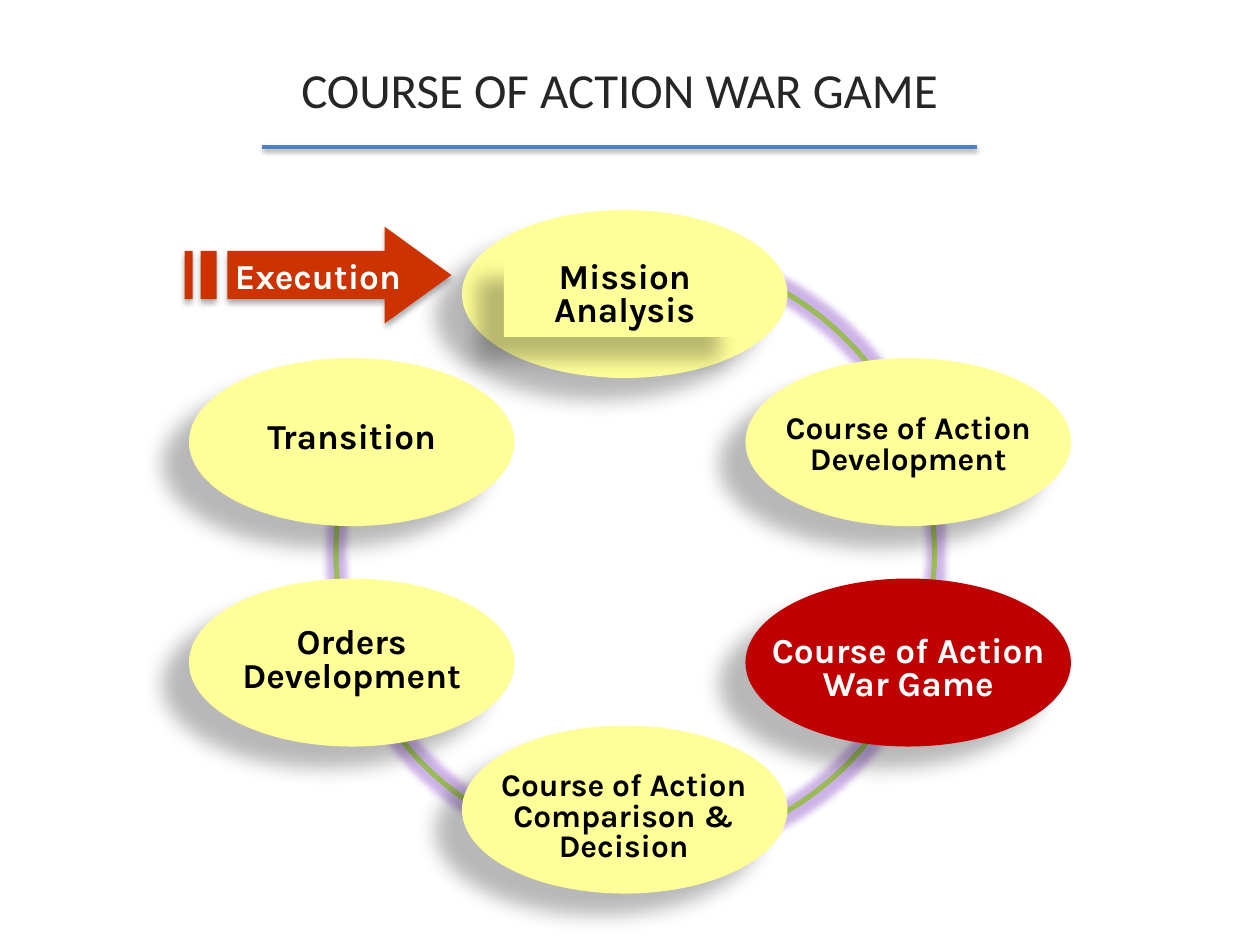
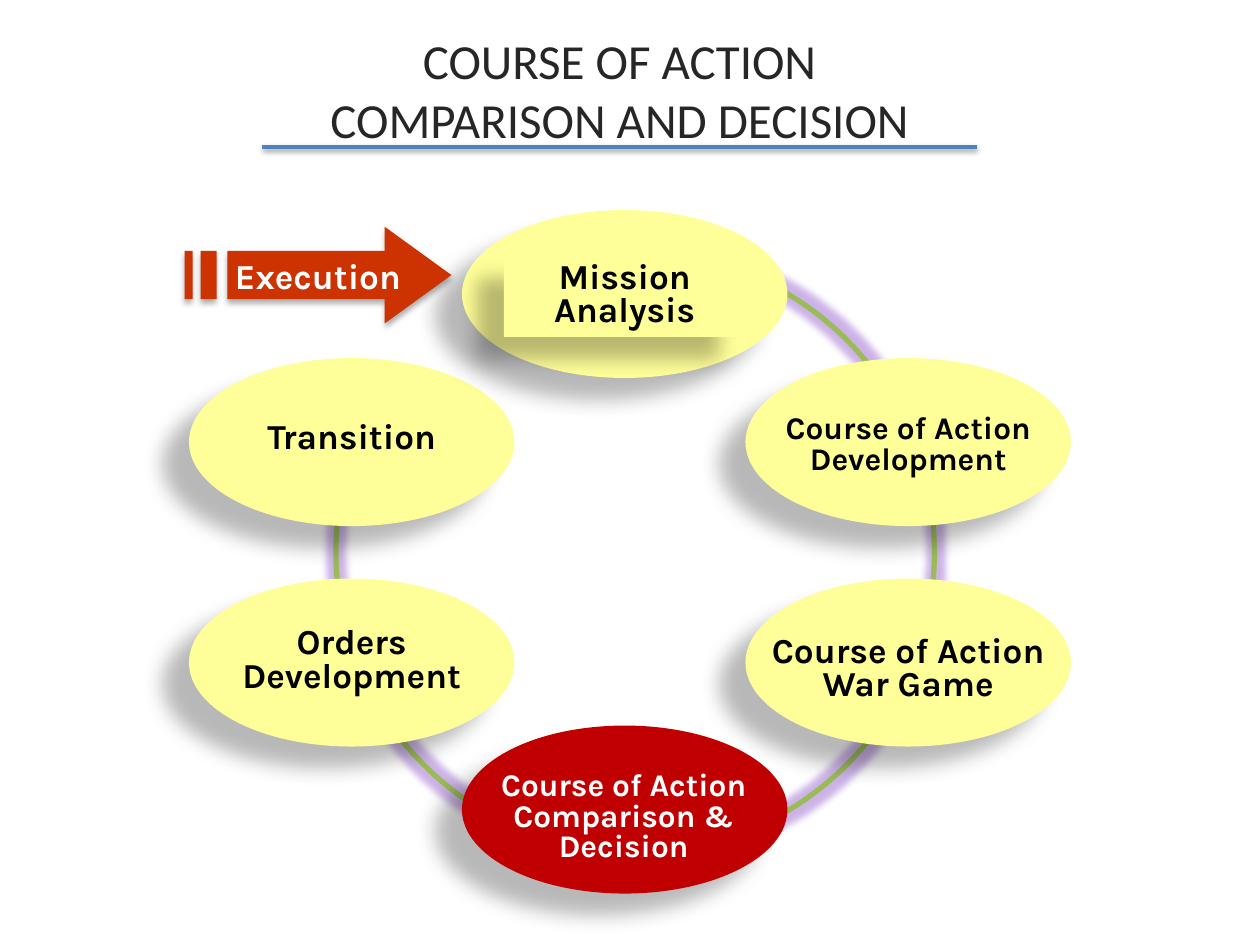
from dataclasses import dataclass
from itertools import chain
from pptx import Presentation
from pptx.dml.color import RGBColor as RGB
from pptx.enum.shapes import MSO_CONNECTOR as Link, MSO_SHAPE as Kind
from pptx.enum.text import MSO_ANCHOR as Anchor, MSO_AUTO_SIZE as Fit, PP_ALIGN as Align
from pptx.oxml import parse_xml
from pptx.oxml.ns import nsdecls
from pptx.util import Inches, Pt


@dataclass(frozen=True)
class Theme:
    """Colours, fonts, type sizes and effects of the deck."""
    pale: str = "FFFF99"
    hot: str = "C00000"
    dark: str = "000000"
    light: str = "FFFFFF"
    arrow: str = "CC3300"
    ring: str = "9BBB59"
    glow: str = "8040C4"
    rule: str = "4F81BD"
    head: str = "262626"
    face: str = "Karla"
    title: str = "Calibri"
    big: int = 28
    mid: int = 20
    small: int = 18
    deep: tuple = (28, 11.8, 19.7, 141)
    soft: tuple = (32, 3.5, 2.2, 90)
    thin: tuple = (38, 3.1, 1.6, 90)


@dataclass(frozen=True)
class Box:
    """A box on a grid of 120 columns by 90 rows."""
    x: float
    y: float
    w: float
    h: float

    def inner(self, x, y, w, h):
        """Return a box set off from this one's top left corner."""
        return Box(self.x + x, self.y + y, w, h)

    def size(self):
        """Return left, top, width and height as lengths."""
        return [Inches(n / 12) for n in (self.x, self.y, self.w, self.h)]


T = Theme()
PAGE = Box(0, 0, 120, 90)
OVAL = (31, 16)
STEPS = [
    ("Course of Action Development", (71, 34.1), (-1, 4.9, 33, 7.1), T.small),
    ("Transition", (18, 34.1), (-1, 5.6, 33, 4.4), T.mid),
    ("Course of Action War Game", (71, 55.1), (-1, 4.9, 33, 7.7), T.mid),
    ("Orders Development", (18, 55.1), (-1, 4.1, 33, 7.7), T.mid),
    ("Course of Action Comparison & Decision", (44, 69.1), (0.4, 3.9, 30, 10), T.small),
]
START = ("Mission Analysis", (44, 20), (4, 4.4, 23, 7.7), T.mid)
SLIDES = [
    ("COURSE OF ACTION WAR GAME", STEPS[2][0]),
    ("COURSE OF ACTION\nCOMPARISON AND DECISION", STEPS[4][0]),
]


def apply(item, values):
    """Set each named attribute of the item."""
    for name, value in values.items():
        setattr(item, name, value)


def effect(shape, inner):
    """Give a shape its one effect."""
    shape.element.spPr.append(parse_xml(
        f'<a:effectLst {nsdecls("a")}>{inner}</a:effectLst>'))


def tint(color, alpha):
    """Return the XML of a see-through colour."""
    return f'<a:srgbClr val="{color}"><a:alpha val="{alpha * 1000}"/></a:srgbClr>'


def shade(shape, look):
    """Cast a shadow of the given strength, blur, distance and angle."""
    alpha, blur, dist, turn = look
    effect(shape, f'<a:outerShdw blurRad="{Pt(blur)}" dist="{Pt(dist)}" '
                  f'dir="{turn * 60000}" algn="ctr" rotWithShape="0">'
                  f'{tint(T.dark, alpha)}</a:outerShdw>')


def paint(shape, color, look):
    """Fill a shape, drop its outline and cast its shadow."""
    shape.fill.solid()
    shape.fill.fore_color.rgb = RGB.from_string(color)
    shape.line.fill.background()
    shade(shape, look)


def write(frame, text, color, size, face=T.face, bold=True, space=None, **look):
    """Write centred text, one paragraph a line."""
    apply(frame, {"word_wrap": True, "auto_size": Fit.NONE, **look})
    frame.text = text
    for para in frame.paragraphs:
        apply(para, {"alignment": Align.CENTER, "line_spacing": space})
        apply(para.font, {"name": face, "size": Pt(size), "bold": bold})
        para.font.color.rgb = RGB.from_string(color)


def ring(slide, box):
    """Draw the glowing open ring that joins the steps."""
    arc = slide.shapes.add_shape(Kind.ARC, *box.size())
    for spot, turn in enumerate((164.196, 116.629)):
        arc.adjustments[spot] = turn
    arc.fill.background()
    arc.line.color.rgb = RGB.from_string(T.ring)
    arc.line.width = Pt(3)
    effect(arc, f'<a:glow rad="{Pt(8)}">{tint(T.glow, 40)}</a:glow>')


def step(shapes, box, text, label, size, hot=False, plate=False):
    """Draw one oval step and its label, on a plate if asked."""
    oval = shapes.add_shape(Kind.OVAL, *box.size())
    paint(oval, T.hot if hot else T.pale, T.deep)
    place = box.inner(*label).size()
    if plate:
        note = shapes.add_shape(Kind.RECTANGLE, *place)
        paint(note, T.pale, T.deep)
    else:
        note = shapes.add_textbox(*place)
    write(note.text_frame, text, T.light if hot else T.dark, size,
          space=0.8, vertical_anchor=Anchor.TOP)


def arrow(slide, box):
    """Draw the striped arrow that leads into the cycle."""
    left, top, wide, high = box.size()
    head = [(0.75, 0), (0.75, 0.25), (0.16, 0.25), (0.16, 0.75),
            (0.75, 0.75), (0.75, 1), (1, 0.5)]
    bars = [[(a, 0.25), (a, 0.75), (b, 0.75), (b, 0.25)]
            for a, b in ((0.06, 0.12), (0, 0.03))]
    pen = None
    for shares in chain([head], bars):
        first, *rest = [(left + x * wide, top + y * high) for x, y in shares]
        if pen:
            pen.move_to(*first)
        else:
            pen = slide.shapes.build_freeform(*first)
        pen.add_line_segments(rest, close=True)
    shape = pen.convert_to_shape()
    paint(shape, T.arrow, T.soft)
    write(shape.text_frame, "Execution", T.light, T.mid,
          word_wrap=False, vertical_anchor=Anchor.MIDDLE)


def header(slide, box, text):
    """Place the title and the rule under it."""
    title = slide.shapes.title
    apply(title, dict(zip(("left", "top", "width", "height"), box.size())))
    write(title.text_frame, text, T.head, T.big, T.title, False,
          vertical_anchor=Anchor.MIDDLE)
    x, y, w, _ = box.inner(20, 13, 68, 0).size()
    rule = slide.shapes.add_connector(Link.STRAIGHT, x, y, x + w, y)
    rule.line.color.rgb = RGB.from_string(T.rule)
    rule.line.width = Pt(2)
    shade(rule, T.thin)


def cycle(slide, box, hot):
    """Draw the ring, its steps and the arrow, with one step lit."""
    ring(slide, box.inner(32, 24, 57, 57.2))
    for text, spot, label, size in STEPS:
        step(slide.shapes, box.inner(*spot, *OVAL), text, label, size, text == hot)
    text, spot, label, size = START
    group = slide.shapes.add_group_shape()
    step(group.shapes, box.inner(*spot, *OVAL), text, label, size, plate=True)
    arrow(slide, box.inner(17.6, 21.6, 25.4, 9.2))


def main():
    """Build the deck."""
    deck = Presentation()
    _, _, deck.slide_width, deck.slide_height = PAGE.size()
    for title, hot in SLIDES:
        slide = deck.slides.add_slide(deck.slide_layouts[5])
        cycle(slide, PAGE, hot)
        header(slide, PAGE.inner(5, 1, 108, 15), title)
    deck.save("out.pptx")


if __name__ == "__main__":
    main()
